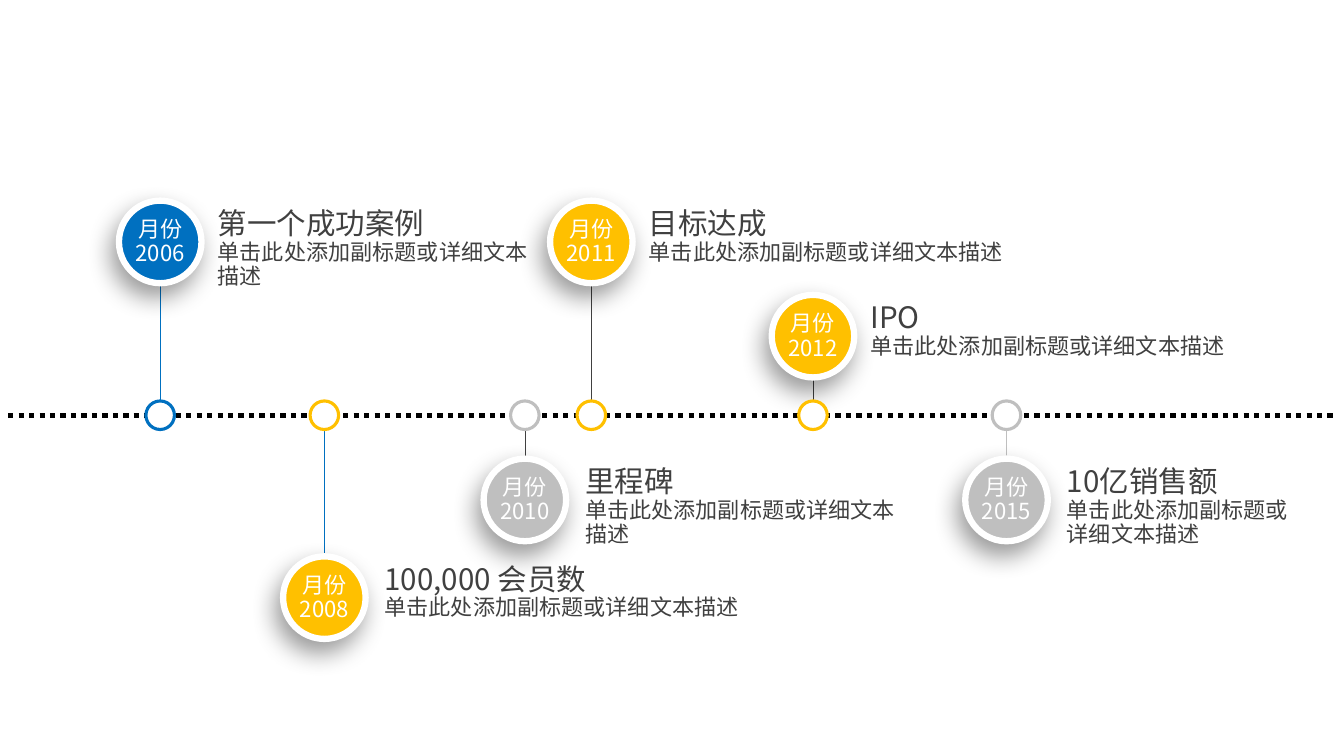
"""Build a company milestone timeline slide."""
from dataclasses import dataclass

from lxml import etree
from pptx import Presentation
from pptx.dml.color import RGBColor
from pptx.enum.dml import MSO_LINE
from pptx.enum.shapes import MSO_CONNECTOR, MSO_SHAPE
from pptx.enum.text import MSO_ANCHOR, MSO_AUTO_SIZE, PP_ALIGN
from pptx.oxml.ns import qn
from pptx.util import Pt

STRAIGHT = MSO_CONNECTOR.STRAIGHT
OVAL = MSO_SHAPE.OVAL
DOTTED = MSO_LINE.ROUND_DOT
MIDDLE = MSO_ANCHOR.MIDDLE
CENTER = PP_ALIGN.CENTER
GROW = MSO_AUTO_SIZE.SHAPE_TO_FIT_TEXT

COLORS = {
    "blue": "0070C0", "yellow": "FFC000", "gray": "BFBFBF",
    "white": "FFFFFF", "black": "000000", "text": "404040",
}
FONT = "Noto Sans CJK SC"
DETAIL = "单击此处添加副标题或详细文本描述"
TITLE_SIZE, BODY_SIZE, LINE_SPACING = 21.1, 15.8, 17.4
AXIS_Y = 296.6
BADGE_SIZE, DOT_SIZE = 59, 20.4


@dataclass
class Milestone:
    year: int
    title: str
    color: str
    stem: str
    center: float
    badge_top: float
    text_width: float

    @property
    def above(self) -> bool:
        return self.badge_top < AXIS_Y


MILESTONES = [
    Milestone(2006, "第一个成功案例", "blue", "blue", 114.5, 143.3, 239),
    Milestone(2008, "100,000 会员数", "yellow", "blue", 231.8, 397.4, 276.5),
    Milestone(2011, "目标达成", "yellow", "text", 422.6, 143.3, 273.6),
    Milestone(2010, "里程碑", "gray", "text", 375.1, 327.6, 239),
    Milestone(2012, "IPO", "yellow", "text", 581, 210.6, 273.6),
    Milestone(2015, "10亿销售额", "gray", "gray", 719.3, 327.6, 185.8),
]


def rgb(name: str) -> RGBColor:
    return RGBColor.from_string(COLORS[name])


def format_para(para, size: float, color: str) -> None:
    para.line_spacing = Pt(LINE_SPACING)
    for span in para.runs:
        span.font.size = Pt(size)
        span.font.name = FONT
        span.font.color.rgb = rgb(color)
        east_asian = etree.SubElement(span.font._element, qn("a:ea"))
        east_asian.set("typeface", FONT)


def draw_line(page, start: tuple[float, float], end: tuple[float, float],
              color: str, width: float):
    line = page.shapes.add_connector(STRAIGHT, *map(Pt, start + end))
    line.line.color.rgb = rgb(color)
    line.line.width = Pt(width)
    etree.SubElement(line._element.spPr, qn("a:effectLst"))
    return line


def draw_circle(page, center: float, top: float, size: float,
                fill: str, outline: str, width: float):
    circle = page.shapes.add_shape(
        OVAL, Pt(center - size / 2), Pt(top), Pt(size), Pt(size))
    circle.shadow.inherit = False
    circle.fill.solid()
    circle.fill.fore_color.rgb = rgb(fill)
    circle.line.color.rgb = rgb(outline)
    circle.line.width = Pt(width)
    return circle


def add_shadow(shape) -> None:
    effects = shape._element.spPr.find(qn("a:effectLst"))
    shadow = etree.SubElement(
        effects, qn("a:outerShdw"), blurRad=str(Pt(18)), dist=str(Pt(9)),
        dir=str(114 * 60000), algn="t", rotWithShape="0")
    color = etree.SubElement(shadow, qn("a:srgbClr"), val=COLORS["black"])
    etree.SubElement(color, qn("a:alpha"), val="40000")


def draw_stem(page, item: Milestone) -> None:
    reach = DOT_SIZE / 2
    if item.above:
        top, bottom = item.badge_top + BADGE_SIZE, AXIS_Y - reach
    else:
        top, bottom = AXIS_Y + reach, item.badge_top
    draw_line(page, (item.center, top), (item.center, bottom), item.stem, 0.25)


def draw_badge(page, item: Milestone) -> None:
    badge = draw_circle(page, item.center, item.badge_top, BADGE_SIZE,
                        item.color, "white", 4.5)
    add_shadow(badge)
    frame = badge.text_frame
    frame.word_wrap = False
    frame.vertical_anchor = MIDDLE
    frame.margin_left = frame.margin_right = 0
    para = frame.paragraphs[0]
    para.text = f"月份\n{item.year}"
    para.alignment = CENTER
    format_para(para, BODY_SIZE, "white")


def draw_caption(page, item: Milestone) -> None:
    offset, height = (34 if item.above else 36), (59 if item.text_width < 250 else 41.8)
    box = page.shapes.add_textbox(
        Pt(item.center + offset), Pt(item.badge_top + 7.4),
        Pt(item.text_width), Pt(height))
    frame = box.text_frame
    frame.word_wrap = True
    frame.auto_size = GROW
    frame.text = f"{item.title}\n{DETAIL}"
    for para, size in zip(frame.paragraphs, (TITLE_SIZE, BODY_SIZE)):
        format_para(para, size, "text")


def main() -> None:
    deck = Presentation()
    deck.slide_width, deck.slide_height = Pt(960.5), Pt(540)
    page = deck.slides.add_slide(deck.slide_layouts[6])
    for item in MILESTONES:
        draw_stem(page, item)
    axis = draw_line(page, (5.8, AXIS_Y), (954.7, AXIS_Y), "black", 3.75)
    axis.line.dash_style = DOTTED
    for item in MILESTONES:
        draw_badge(page, item)
        draw_caption(page, item)
        draw_circle(page, item.center, AXIS_Y - DOT_SIZE / 2, DOT_SIZE,
                    "white", item.color, 2.25)
    deck.save("out.pptx")


if __name__ == "__main__":
    main()
